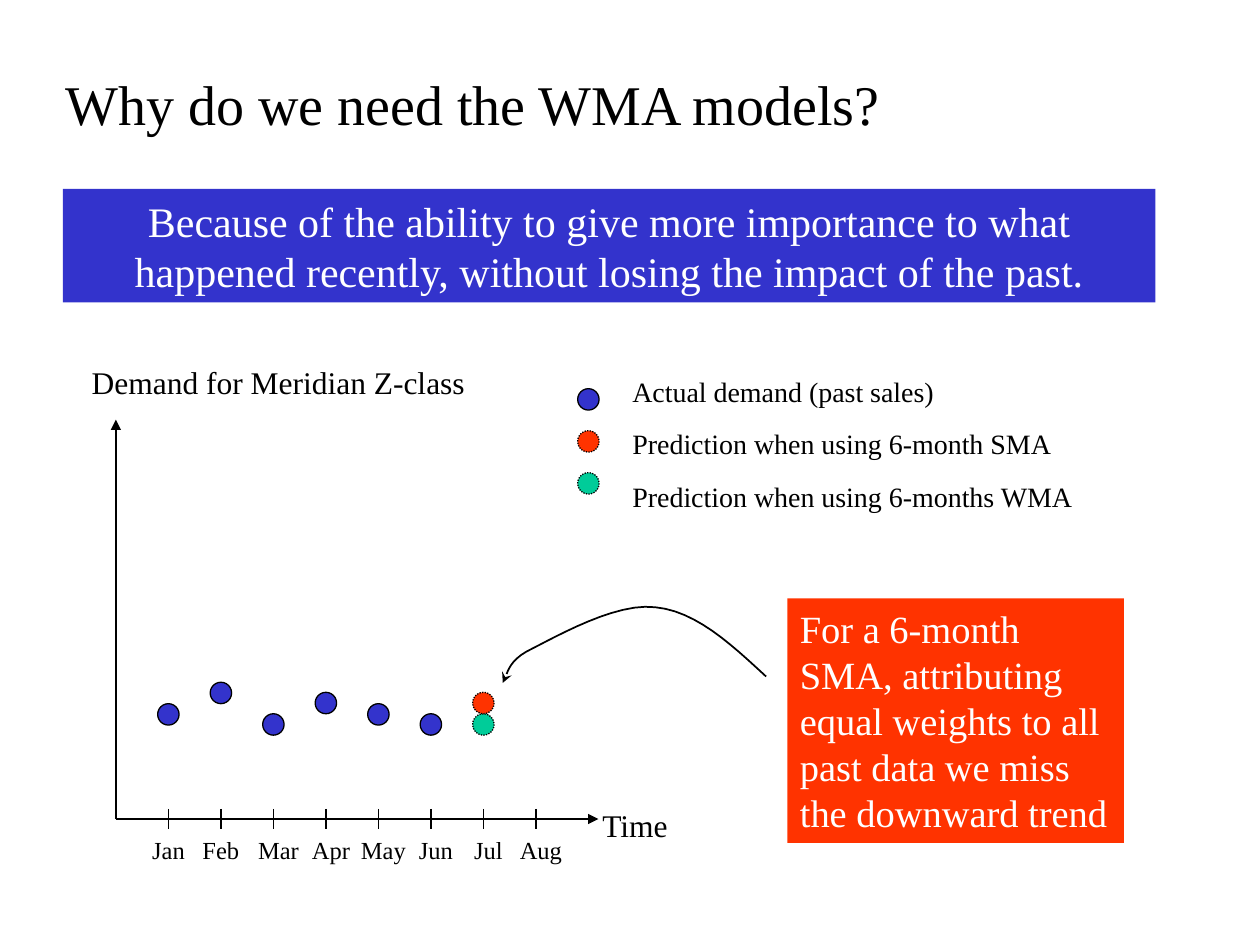
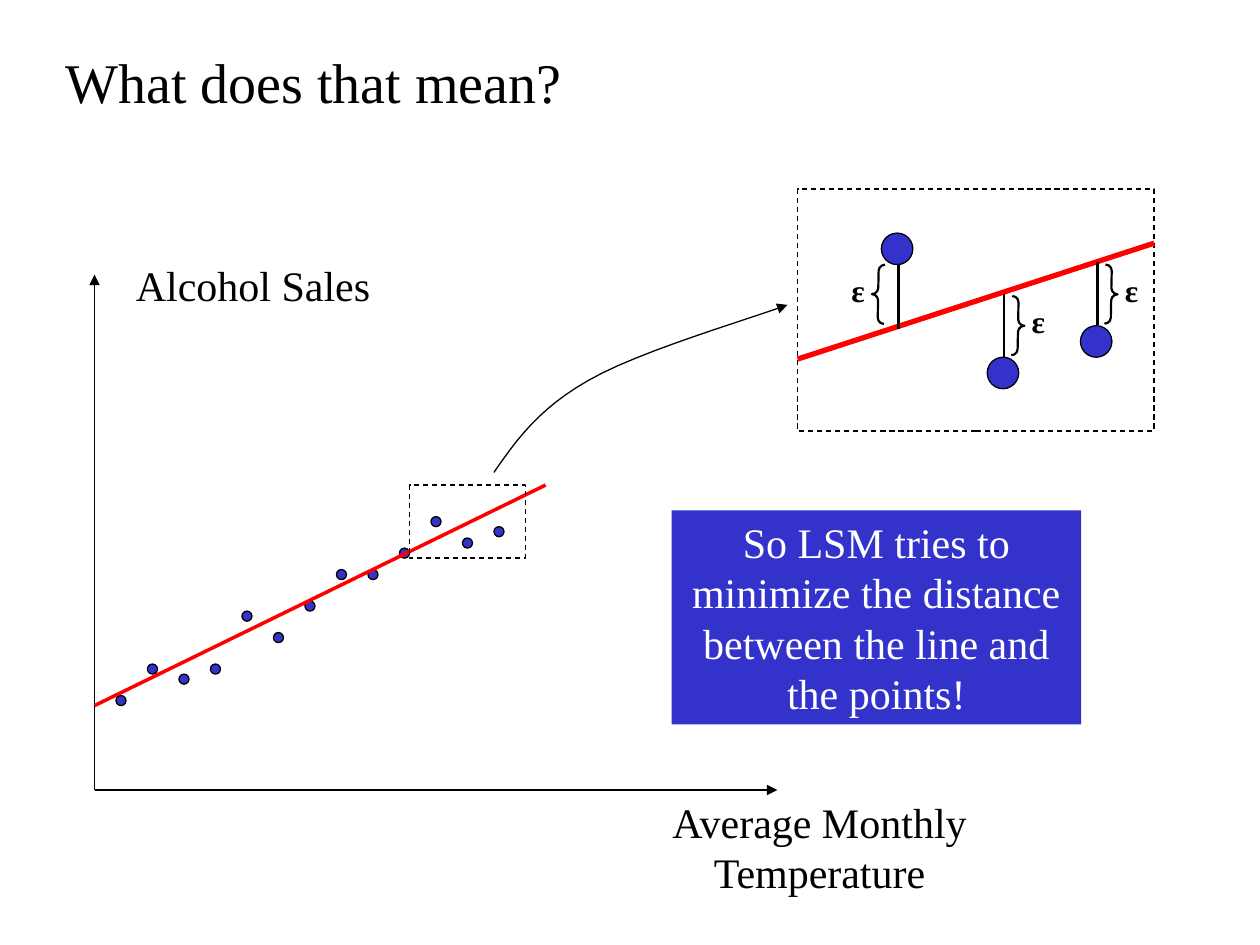
import pptx
import pptx.util
import pptx.dml.color
import pptx.enum.dml
import pptx.enum.shapes
import pptx.enum.text
import pptx.oxml
import pptx.oxml.ns

Inches = pptx.util.Inches
Shape = pptx.enum.shapes.MSO_SHAPE
Dash = pptx.enum.dml.MSO_LINE
Align = pptx.enum.text.PP_ALIGN
FONT = "Times New Roman"
HUES = {"ink": "000000", "paper": "FFFFFF", "blue": "3333CC",
        "orange": "FF3300", "green": "00CC99", "red": "FF0000"}
MONTHS = ["Jan", "Feb", "Mar", "Apr", "May", "Jun", "Jul", "Aug"]
SALES = [0.83, 1.0, 0.75, 0.92, 0.83, 0.75]
SMA, WMA = 0.92, 0.75
DRINKS = [0.71, 0.96, 0.88, 0.96, 1.38, 1.21, 1.46, 1.71, 1.71, 1.88, 2.13, 1.96, 2.05]


def tint(name):
    return pptx.dml.color.RGBColor.from_string(HUES[name])


def write(shape, text, size=18, hue="ink", align=Align.LEFT, bold=False, gap=0):
    frame = shape.text_frame
    frame.word_wrap = True
    frame.auto_size = pptx.enum.text.MSO_AUTO_SIZE.NONE
    frame.vertical_anchor = pptx.enum.text.MSO_ANCHOR.TOP
    frame.margin_left = frame.margin_right = Inches(0.1)
    frame.margin_top = frame.margin_bottom = Inches(0.05)
    frame.text = text
    for para in frame.paragraphs:
        para.alignment = align
        para.space_before = pptx.util.Pt(gap)
        font = para.runs[0].font
        font.name, font.size, font.bold = FONT, pptx.util.Pt(size), bold
        font.color.rgb = tint(hue)


def label(slide, text, box, **form):
    shape = slide.shapes.add_textbox(*map(Inches, box))
    write(shape, text, **form)


def stroke(item, hue="ink", width=0.75, dash=None, tip=None):
    item.line.color.rgb = tint(hue)
    item.line.width = pptx.util.Pt(width)
    if dash:
        item.line.dash_style = dash
    if tip:
        edge = item.line._get_or_add_ln()
        end = pptx.oxml.parse_xml('<a:tailEnd %s type="%s"/>' % (pptx.oxml.ns.nsdecls("a"), tip))
        edge.append(end)


def rule(slide, start, stop, **form):
    kind = pptx.enum.shapes.MSO_CONNECTOR.STRAIGHT
    line = slide.shapes.add_connector(kind, *map(Inches, start + stop))
    stroke(line, **form)
    bare = pptx.oxml.parse_xml("<a:effectLst %s/>" % pptx.oxml.ns.nsdecls("a"))
    line._element.spPr.append(bare)


def form(slide, kind, box, fill=None):
    shape = slide.shapes.add_shape(kind, *map(Inches, box))
    shape.shadow.inherit = False
    if fill:
        shape.fill.solid()
        shape.fill.fore_color.rgb = tint(fill)
    else:
        shape.fill.background()
    return shape


def dot(slide, x, y, size, fill="blue", dash=None):
    ball = form(slide, Shape.OVAL, (x - size / 2, y - size / 2, size, size), fill)
    stroke(ball, dash=dash)


def panel(slide, text, box, fill, **look):
    shape = form(slide, Shape.RECTANGLE, box, fill)
    shape.line.fill.background()
    write(shape, text, hue="paper", **look)


def frame(slide, box):
    stroke(form(slide, Shape.RECTANGLE, box), dash=Dash.DASH)


def curve(slide, box, start, parts, width, tip):
    left, top = box[:2]
    trail, last = [], start
    for part in parts:
        knots = [last, *part]
        for step in range(1, 13):
            t = step / 12
            mix = ((1 - t) ** 3, 3 * t * (1 - t) ** 2, 3 * t * t * (1 - t), t ** 3)
            trail.append(tuple(Inches(base + sum(m * k[axis] for m, k in zip(mix, knots)))
                               for axis, base in enumerate((left, top))))
        last = part[-1]
    path = slide.shapes.build_freeform(Inches(left + start[0]), Inches(top + start[1]))
    path.add_line_segments(trail, close=False)
    arc = path.convert_to_shape()
    arc.shadow.inherit = False
    arc.fill.background()
    stroke(arc, width=width, tip=tip)


def begin(deck, text, box):
    slide = deck.slides.add_slide(deck.slide_layouts[5])
    title = slide.shapes.title
    title.left, title.top, title.width, title.height = map(Inches, box)
    write(title, text, size=32)
    return slide


def axes(slide, box, width):
    left, top, wide, high = box
    base = top + high
    for stop in ((left, top), (left + wide, base)):
        rule(slide, (left, base), stop, width=width, tip="triangle")


def demand(slide, box):
    left, top, wide, high = box
    base, step = top + high, 5 / 12
    axes(slide, box, 1.25)
    label(slide, "Demand for Meridian Z-class", (left - 0.5, top - 0.5, 3.58, 0.4), align=Align.CENTER)
    label(slide, "Time", (left + wide - 0.25, base - 0.15, 1.08, 0.4), align=Align.CENTER)
    for i, month in enumerate(MONTHS):
        x = left + step * (i + 1)
        rule(slide, (x, base - 0.08), (x, base + 0.08))
        shift = 0.04 if i > 1 else 0
        label(slide, month, (x - 0.29 + shift, base + 0.08, 0.58, 0.34), size=14, align=Align.CENTER)
    for i, sale in enumerate(SALES):
        dot(slide, left + step * (i + 1), base - sale, 0.17)
    for guess, hue in ((WMA, "green"), (SMA, "orange")):
        dot(slide, left + step * 7, base - guess, 0.17, hue, Dash.ROUND_DOT)


def legend(slide, box):
    left, top, wide, high = box
    for i, hue in enumerate(("blue", "orange", "green")):
        dot(slide, left + 0.09, top + 0.25 + i / 3, 0.17, hue, Dash.ROUND_DOT if i else None)
    names = ("Actual demand (past sales)\nPrediction when using 6-month SMA\n"
             "Prediction when using 6-months WMA")
    label(slide, names, (left + 0.34, top, wide - 0.34, high), size=16, gap=11)


def scatter(slide, box):
    left, top, wide, high = box
    base = top + high
    axes(slide, box, 0.75)
    for i, value in enumerate(DRINKS):
        dot(slide, left + 0.21 + 0.25 * i, base - value, 0.08)
    label(slide, "Alcohol Sales", (left + 0.23, top - 0.17, 2.67, 0.5), size=24)
    label(slide, "Average Monthly Temperature", (left + wide - 1, base, 2.67, 0.9),
          size=24, align=Align.CENTER)
    rule(slide, (left, base - 0.67), (left + 3.58, base - 2.42), hue="red", width=2)
    frame(slide, (left + 2.5, base - 2.42, 0.92, 0.58))


def zoom(slide, box):
    left, top, wide, high = box
    frame(slide, box)
    rule(slide, (left, top + 1.35), (left + wide, top + 0.43), hue="red", width=3)
    gaps = [(0.8, 0.52, 1.11, 0.79, 0.475, Shape.LEFT_BRACE, 0.59, 0.6, 0.33),
            (1.64, 0.83, 1.33, 1.63, 1.46, Shape.RIGHT_BRACE, 1.7, 0.85, 1.76),
            (2.38, 0.58, 1.08, 2.37, 1.21, Shape.RIGHT_BRACE, 2.44, 0.6, 2.5)]
    for x, high_end, low_end, spot, drop, kind, hook, lift, mark in gaps:
        rule(slide, (left + x, top + high_end), (left + x, top + low_end), width=1.5)
        dot(slide, left + spot, top + drop, 0.25)
        brace = form(slide, kind, (left + hook, top + lift, 0.1, 0.47))
        brace.adjustments[0] = 0.5
        brace.rotation = 1.1
        stroke(brace, width=1.25)
        label(slide, "ε", (left + mark, top + lift, 0.33, 0.4), bold=True)


def trend(deck):
    slide = begin(deck, "Why do we need the WMA models?", (0.42, 0.5, 9.25, 0.64))
    panel(slide, "Because of the ability to give more importance to what happened recently, "
          "without losing the impact of the past.", (0.5, 1.5, 8.67, 0.9), "blue",
          size=24, align=Align.CENTER)
    demand(slide, (0.92, 3.33, 3.83, 3.17))
    legend(slide, (4.58, 2.92, 4.92, 1.18))
    curve(slide, (3.99, 4.78, 2.09, 0.64), (2.09, 0.59),
          [[(1.81, 0.33), (1.53, 0.07), (1.21, 0.04)],
           [(0.9, 0), (0.43, 0.27), (0.23, 0.37)],
           [(0.02, 0.47), (0.04, 0.59), (0, 0.64)]], 1, "stealth")
    panel(slide, "For a 6-month SMA, attributing equal weights to all past data we miss "
          "the downward trend", (6.25, 4.75, 2.67, 1.94), "orange", size=22)


def fit(deck):
    slide = begin(deck, "What does that mean?", (0.42, 0.33, 9.08, 0.64))
    scatter(slide, (0.75, 2.18, 5.42, 4.09))
    panel(slide, "So LSM tries to minimize the distance between the line and the points!",
          (5.33, 4.05, 3.25, 1.7), "blue", size=24, align=Align.CENTER)
    zoom(slide, (6.33, 1.5, 2.83, 1.92))
    curve(slide, (3.92, 2.42, 2.33, 1.33), (0, 1.33),
          [[(0.18, 1.07), (0.36, 0.82), (0.75, 0.6)],
           [(1.14, 0.37), (2.07, 0.1), (2.33, 0)]], 0.75, "triangle")


def main():
    deck = pptx.Presentation()
    deck.slide_width, deck.slide_height = Inches(10), Inches(7.5)
    trend(deck)
    fit(deck)
    deck.save("out.pptx")


if __name__ == "__main__":
    main()
